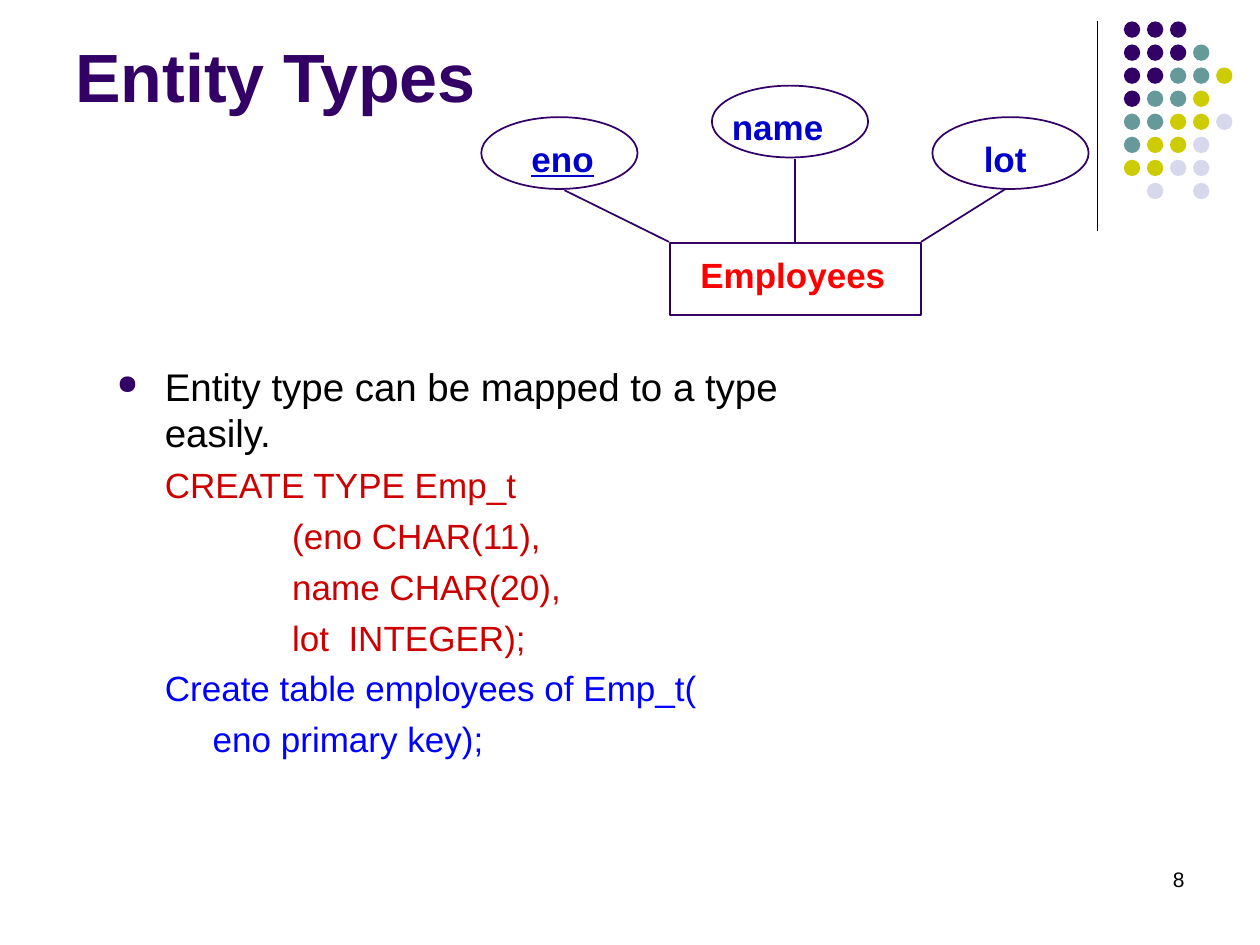
from dataclasses import dataclass
from typing import Optional

from lxml.etree import SubElement
from pptx import Presentation
from pptx.dml.color import RGBColor
from pptx.enum.shapes import MSO_CONNECTOR, MSO_SHAPE
from pptx.enum.text import MSO_ANCHOR, PP_ALIGN
from pptx.oxml.ns import qn
from pptx.util import Inches, Pt

COLS, ROWS = 100, 75
CELL = Inches(0.1)


@dataclass(frozen=True)
class Theme:
    font: str = "Arial"
    dark: str = "330066"
    teal: str = "669999"
    lime: str = "CCCC00"
    pale: str = "D8D8EC"
    black: str = "000000"
    label: str = "0000CC"
    entity: str = "FF0000"
    ddl: str = "CC0000"
    table: str = "0000FF"
    title_size: float = 39
    lead_size: float = 22
    text_size: float = 20
    page_size: float = 12


@dataclass(frozen=True)
class Box:
    """Left, top, width and height in grid cells."""
    col: float
    row: float
    wide: float
    high: float

    def emu(self) -> list[int]:
        return [grid(n) for n in (self.col, self.row, self.wide, self.high)]


@dataclass(frozen=True)
class Para:
    text: str
    size: float
    color: str
    bold: bool = False
    under: bool = False
    align: Optional[PP_ALIGN] = None
    left: float = 0
    hang: float = 0
    before: float = 0
    bullet: str = ""


@dataclass(frozen=True)
class Node:
    """An outlined shape of the diagram and the box of its label."""
    kind: MSO_SHAPE
    shape: Box
    label: Box
    para: Para


@dataclass(frozen=True)
class Link:
    start: tuple[float, float]
    end: tuple[float, float]
    color: str
    width: float = 1


THEME = Theme()
HANG = 3.8

DOTS = ("DDD", "DDDT", "DDTTL", "DTTL", "TTLLP", "TLLP", "LLPP", " P P")
DOT_COLORS = {"D": THEME.dark, "T": THEME.teal, "L": THEME.lime, "P": THEME.pale}
DOT_COL, DOT_ROW, DOT_STEP, DOT_SIZE = 89.2, 1.7, 1.83, 1.3


def attr(text: str, under: bool = False) -> Para:
    return Para(text, THEME.text_size, THEME.label, bold=True, under=under)


def code(text: str, color: str, left: float = HANG) -> Para:
    return Para(text, THEME.text_size, color, left=left, before=5)


NODES = (
    Node(MSO_SHAPE.RECTANGLE, Box(53.2, 19.3, 19.9, 5.7), Box(54.6, 19.6, 16.7, 4.3),
         Para("Employees", THEME.text_size, THEME.entity, bold=True)),
    Node(MSO_SHAPE.OVAL, Box(38.2, 9.3, 12.4, 5.7), Box(41.2, 10.4, 7, 4.3),
         attr("eno", under=True)),
    Node(MSO_SHAPE.OVAL, Box(56.5, 6.8, 12.4, 5.7), Box(57.1, 7.9, 9.3, 4.3),
         attr("name")),
    Node(MSO_SHAPE.OVAL, Box(74, 9.3, 12.4, 5.7), Box(77.1, 10.4, 5.4, 4.3),
         attr("lot")),
)

LINKS = (
    Link((87.1, 1.7), (87.1, 18.3), THEME.black, 0.75),
    Link((44.8, 15.1), (53.1, 19.2), THEME.dark),
    Link((63.1, 12.6), (63.1, 19.2), THEME.dark),
    Link((73.1, 19.2), (79.8, 15), THEME.dark),
)

BODY = (
    Para("Entity type can be mapped to a type easily.", THEME.lead_size,
         THEME.black, left=HANG, hang=HANG, before=5.5, bullet="●"),
    code("CREATE TYPE Emp_t", THEME.ddl),
    code("(eno CHAR(11),", THEME.ddl, 13.9),
    code("name CHAR(20),", THEME.ddl, 13.9),
    code("lot  INTEGER);", THEME.ddl, 13.9),
    code("Create table employees of Emp_t(", THEME.table),
    code("eno primary key);", THEME.table, 2 * HANG),
)


def grid(cells: float) -> int:
    return round(cells * CELL)


def rgb(color: str) -> RGBColor:
    return RGBColor.from_string(color)


def indent(target, para: Para) -> None:
    """Set the margin, the hanging indent and the bullet."""
    props = target._p.get_or_add_pPr()
    props.set("marL", str(grid(para.left)))
    props.set("indent", str(-grid(para.hang)))
    if para.bullet:
        tint = SubElement(props, qn("a:buClr"))
        SubElement(tint, qn("a:srgbClr"), val=THEME.dark)
        SubElement(props, qn("a:buSzPct"), val="70000")
        SubElement(props, qn("a:buChar"), char=para.bullet)


def write(slide, box: Box, *paras: Para, wrap: bool = True,
          anchor: MSO_ANCHOR = MSO_ANCHOR.TOP) -> None:
    frame = slide.shapes.add_textbox(*box.emu()).text_frame
    frame.word_wrap = wrap
    frame.vertical_anchor = anchor
    for i, para in enumerate(paras):
        target = frame.add_paragraph() if i else frame.paragraphs[0]
        target.text = para.text
        target.alignment = para.align
        target.space_before = Pt(para.before)
        indent(target, para)
        font = target.font
        font.name, font.size = THEME.font, Pt(para.size)
        font.bold, font.underline = para.bold, para.under
        font.color.rgb = rgb(para.color)


def draw_shape(slide, kind: MSO_SHAPE, box: Box, fill: str = "", line: str = "") -> None:
    shape = slide.shapes.add_shape(kind, *box.emu())
    shape.shadow.inherit = False
    if fill:
        shape.fill.solid()
        shape.fill.fore_color.rgb = rgb(fill)
    else:
        shape.fill.background()
    if line:
        shape.line.color.rgb = rgb(line)
        shape.line.width = Pt(1)
    else:
        shape.line.fill.background()


def draw_link(slide, link: Link) -> None:
    ends = [grid(n) for n in link.start + link.end]
    line = slide.shapes.add_connector(MSO_CONNECTOR.STRAIGHT, *ends)
    line.line.color.rgb = rgb(link.color)
    line.line.width = Pt(link.width)
    SubElement(line._element.spPr, qn("a:effectLst"))


def draw_dots(slide) -> None:
    for r, marks in enumerate(DOTS):
        for c, mark in enumerate(marks):
            if mark in DOT_COLORS:
                box = Box(DOT_COL + c * DOT_STEP, DOT_ROW + r * DOT_STEP,
                          DOT_SIZE, DOT_SIZE)
                draw_shape(slide, MSO_SHAPE.OVAL, box, fill=DOT_COLORS[mark])


def main() -> None:
    deck = Presentation()
    deck.slide_width, deck.slide_height = grid(COLS), grid(ROWS)
    slide = deck.slides.add_slide(deck.slide_layouts[6])
    draw_dots(slide)
    write(slide, Box(71.7, 68.3, 23.3, 5),
          Para("8", THEME.page_size, THEME.black, align=PP_ALIGN.RIGHT))
    write(slide, Box(5, 1.3, 82.5, 9.3),
          Para("Entity Types", THEME.title_size, THEME.dark, bold=True),
          anchor=MSO_ANCHOR.MIDDLE)
    for node in NODES:
        draw_shape(slide, node.kind, node.shape, line=THEME.dark)
        write(slide, node.label, node.para, wrap=False)
    for link in LINKS:
        draw_link(slide, link)
    write(slide, Box(8.3, 28.3, 60.8, 39.6), *BODY)
    deck.save("out.pptx")


if __name__ == "__main__":
    main()
